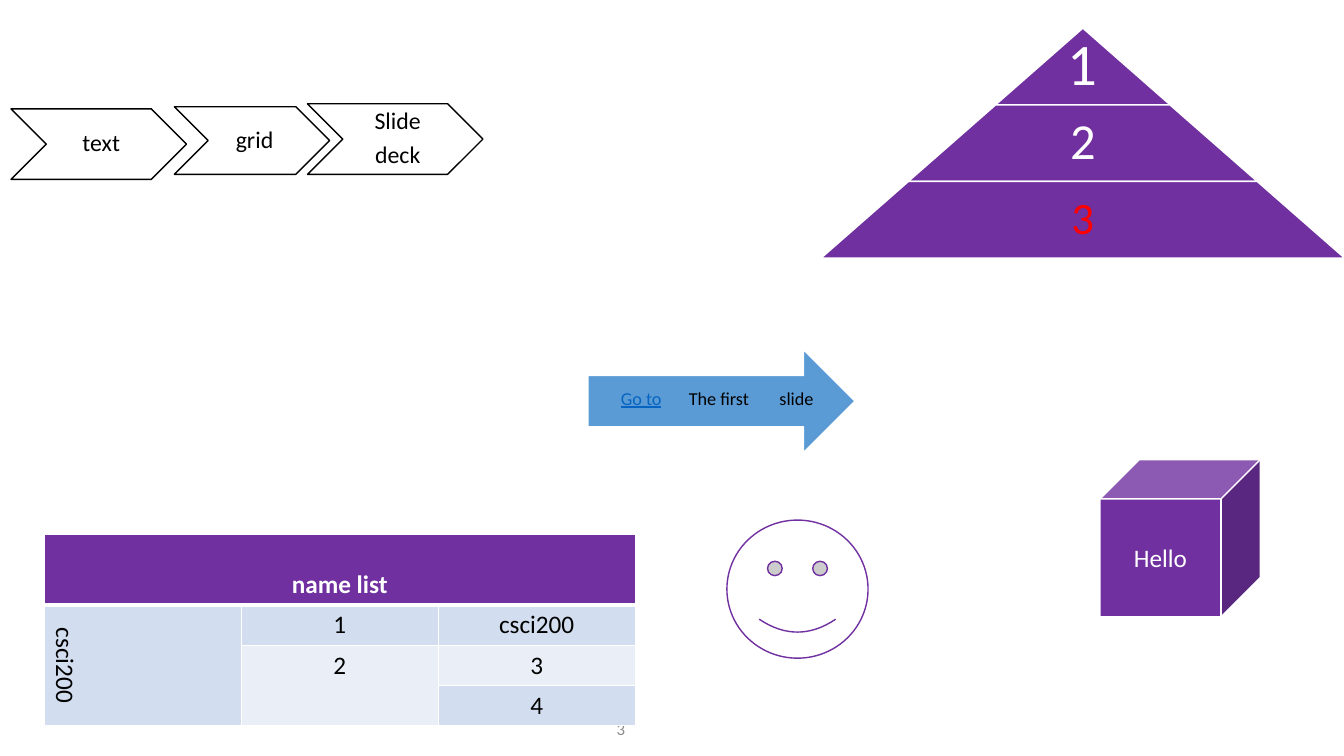
import pptx
import pptx.dml.color
import pptx.enum.shapes
import pptx.enum.text
import pptx.oxml
import pptx.oxml.ns
import pptx.util

Inches = pptx.util.Inches
Pt = pptx.util.Pt
RGBColor = pptx.dml.color.RGBColor
SHAPE = pptx.enum.shapes.MSO_SHAPE
ALIGN = pptx.enum.text.PP_ALIGN
ANCHOR = pptx.enum.text.MSO_ANCHOR

WHITE = RGBColor(0xFF, 0xFF, 0xFF)
BLACK = RGBColor(0x00, 0x00, 0x00)
PURPLE = RGBColor(0x70, 0x30, 0xA0)
RED = RGBColor(0xFF, 0x00, 0x00)
BLUE = RGBColor(0x5B, 0x9B, 0xD5)
LINK_BLUE = RGBColor(0x05, 0x63, 0xC1)
GRAY = RGBColor(0x8C, 0x8C, 0x8C)
BAND_DARK = RGBColor(0xD2, 0xDE, 0xEF)
BAND_LIGHT = RGBColor(0xEA, 0xEF, 0xF7)


def write_text(holder, text, size=18, color=BLACK, bold=False, underline=False,
               align=ALIGN.CENTER, anchor=ANCHOR.MIDDLE, insets=None,
               line_spacing=None, space_after=None):
    """Fill a shape or table cell with one paragraph for each line of text."""
    frame = holder.text_frame
    frame.word_wrap = True
    holder_or_frame = frame if hasattr(frame, "vertical_anchor") else holder
    holder_or_frame.vertical_anchor = anchor
    if insets:
        (frame.margin_left, frame.margin_top,
         frame.margin_right, frame.margin_bottom) = [Inches(inset) for inset in insets]
    for index, line in enumerate(text.split("\n")):
        paragraph = frame.add_paragraph() if index else frame.paragraphs[0]
        paragraph.alignment = align
        paragraph.line_spacing = line_spacing
        paragraph.space_after = space_after
        run = paragraph.add_run()
        run.text = line
        run.font.name = "Calibri"
        run.font.size = Pt(size)
        run.font.bold = bold
        run.font.underline = underline
        run.font.color.rgb = color


def add_filled_shape(kind, left, top, width, height, fill, line):
    """Add a preset shape with a flat fill and a thin outline."""
    shape = slide.shapes.add_shape(
        kind, Inches(left), Inches(top), Inches(width), Inches(height))
    shape.shadow.inherit = False
    shape.fill.solid()
    shape.fill.fore_color.rgb = fill
    shape.line.color.rgb = line
    shape.line.width = Pt(1)
    return shape


presentation = pptx.Presentation()
presentation.slide_width = Inches(13.33)
presentation.slide_height = Inches(7.5)
slide = presentation.slides.add_slide(presentation.slide_layouts[6])

# Slide number
number_box = slide.shapes.add_textbox(
    Inches(5.74), Inches(6.95), Inches(0.56), Inches(0.55))
write_text(number_box, "3", size=12, color=GRAY, align=ALIGN.RIGHT)

# Chevron process
for text, left, top, width, height in [
        ("text", 0.11, 1.08, 1.74, 0.7),
        ("grid", 1.73, 1.06, 1.54, 0.67),
        ("Slide\ndeck", 3.05, 1.03, 1.74, 0.7)]:
    chevron = add_filled_shape(SHAPE.CHEVRON, left, top, width, height, WHITE, BLACK)
    write_text(chevron, text, size=17, insets=(0.07, 0.02, 0.02, 0.02),
               line_spacing=0.9, space_after=Pt(6))

# Cube and smiley face
cube = add_filled_shape(SHAPE.CUBE, 10.91, 4.56, 1.59, 1.56, PURPLE, WHITE)
write_text(cube, "Hello", color=WHITE)
add_filled_shape(SHAPE.SMILEY_FACE, 7.21, 5.16, 1.4, 1.37, WHITE, PURPLE)

# Pyramid: each level is one top width wider than the level above
PYRAMID_CENTER, LEVEL_WIDTH, LEVEL_HEIGHT = 10.74, 1.73, 0.76
for level, (size, color) in enumerate([(42, WHITE), (36, WHITE), (32, RED)], start=1):
    width = LEVEL_WIDTH * level
    left, top = PYRAMID_CENTER - width / 2, 0.28 + LEVEL_HEIGHT * (level - 1)
    trapezoid = add_filled_shape(
        SHAPE.TRAPEZOID, left, top, width, LEVEL_HEIGHT, PURPLE, WHITE)
    trapezoid.adjustments[0] = 1.14
    label = slide.shapes.add_textbox(
        Inches(left), Inches(top), Inches(width), Inches(LEVEL_HEIGHT))
    write_text(label, str(level), size=size, color=color,
               insets=(0.05, 0.05, 0.05, 0.05), line_spacing=0.9)

# Name list table
ROW_HEIGHTS = [0.7, 0.4, 0.4, 0.4]
ROW_FILLS = [PURPLE, BAND_DARK, BAND_LIGHT, BAND_DARK]
CELL_TEXTS = {(0, 0): "name list", (1, 0): "csci200", (1, 1): "1",
              (1, 2): "csci200", (2, 1): "2", (2, 2): "3", (3, 2): "4"}
table_frame = slide.shapes.add_table(
    4, 3, Inches(0.44), Inches(5.3), Inches(5.86), Inches(sum(ROW_HEIGHTS)))
table = table_frame.table
for column in table.columns:
    column.width = Inches(5.86 / 3)
for row, height in zip(table.rows, ROW_HEIGHTS):
    row.height = Inches(height)
table.cell(0, 0).merge(table.cell(0, 2))
table.cell(1, 0).merge(table.cell(3, 0))
table.cell(2, 1).merge(table.cell(3, 1))

for row_index, row_fill in enumerate(ROW_FILLS):
    for column_index in range(3):
        cell = table.cell(row_index, column_index)
        properties = cell._tc.get_or_add_tcPr()
        for side in ("L", "R", "T", "B"):
            thick = (row_index, side) in [(0, "B"), (1, "T")]
            properties.append(pptx.oxml.parse_xml(
                f'<a:ln{side} {pptx.oxml.ns.nsdecls("a")} w="{Pt(3 if thick else 1)}">'
                f'<a:solidFill><a:srgbClr val="{WHITE}"/></a:solidFill></a:ln{side}>'))
        cell.fill.solid()
        cell.fill.fore_color.rgb = row_fill
        text = CELL_TEXTS.get((row_index, column_index))
        if text:
            header = row_index == 0
            write_text(cell, text, color=WHITE if header else BLACK, bold=header,
                       anchor=ANCHOR.TOP)
            cell.vertical_anchor = ANCHOR.BOTTOM if header else ANCHOR.TOP
table.cell(1, 0).fill.fore_color.rgb = BAND_DARK
table.cell(1, 0)._tc.get_or_add_tcPr().set("vert", "vert")
table.cell(2, 1).fill.fore_color.rgb = BAND_LIGHT

# Arrow with three evenly spaced labels
add_filled_shape(SHAPE.RIGHT_ARROW, 5.83, 3.47, 2.65, 1.02, BLUE, WHITE)
for index, (text, color) in enumerate([
        ("Go to", LINK_BLUE), ("The first", BLACK), ("slide", BLACK)]):
    label = slide.shapes.add_textbox(
        Inches(6.04 + 0.77 * index), Inches(3.71), Inches(0.64), Inches(0.51))
    write_text(label, text, size=13, color=color, underline=index == 0,
               insets=(0, 0.14, 0, 0.14), line_spacing=0.9)

presentation.save("out.pptx")
